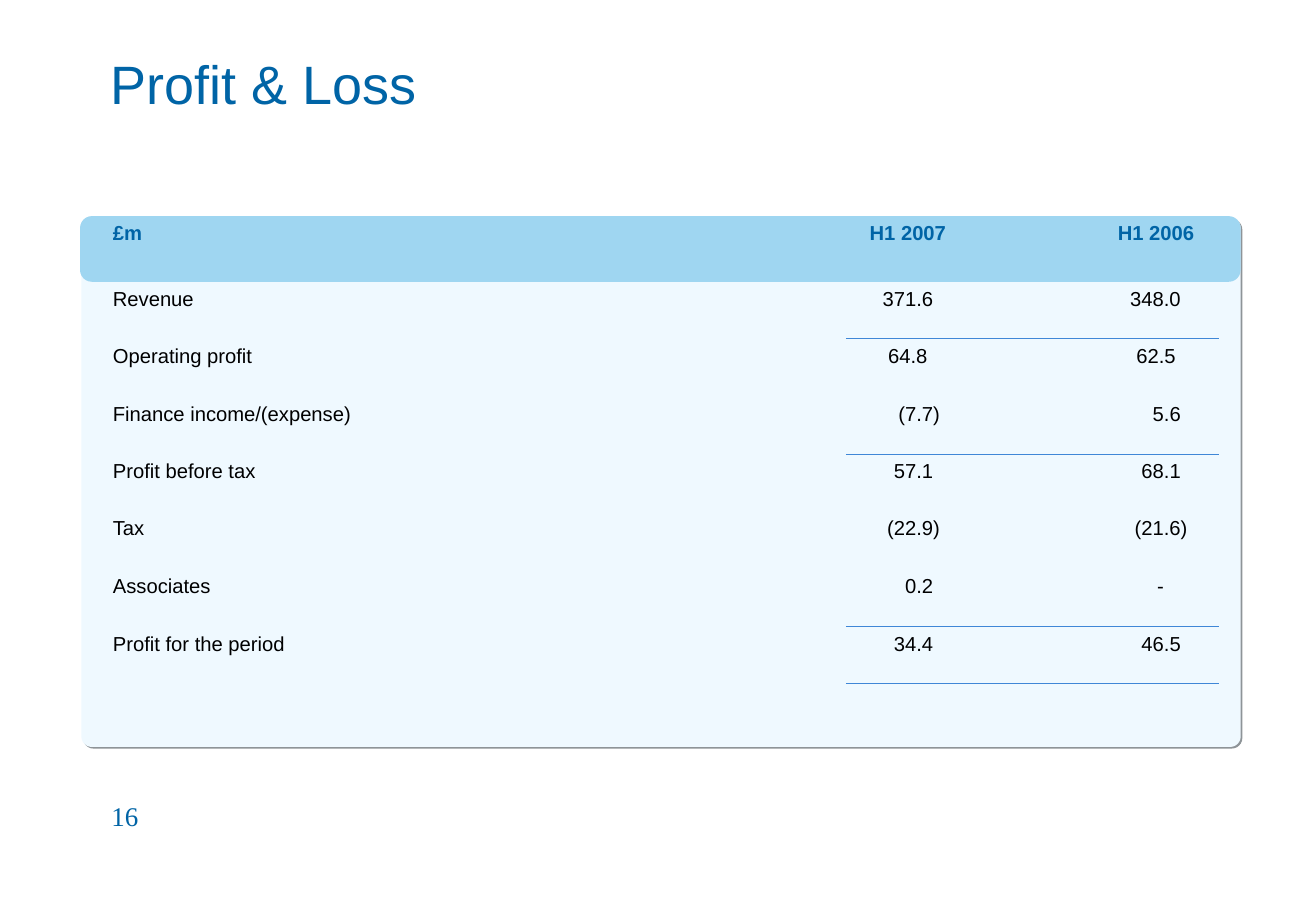
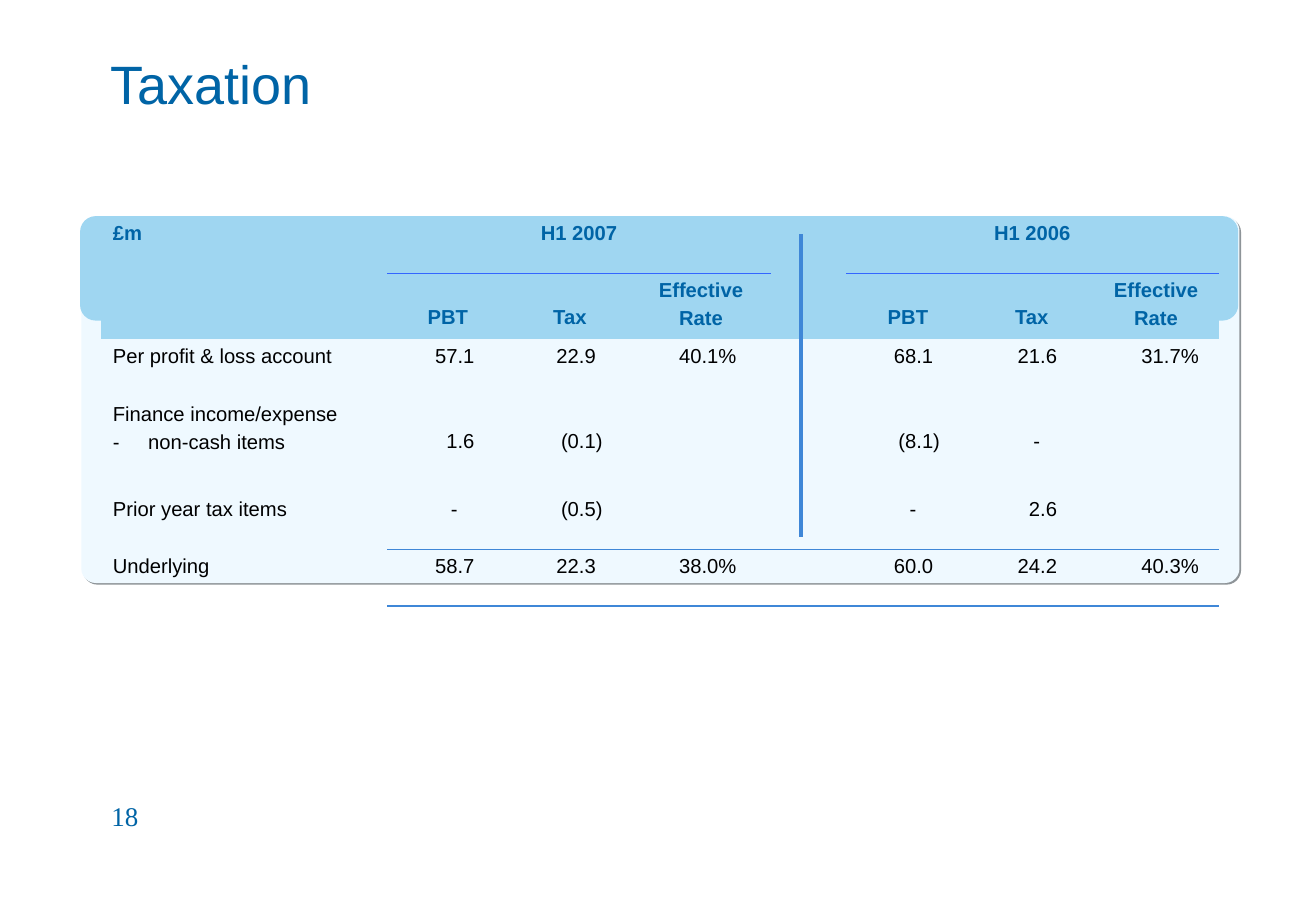
from dataclasses import dataclass
from enum import Enum

from lxml.etree import SubElement
from pptx import Presentation
from pptx.dml.color import RGBColor
from pptx.enum.shapes import MSO_CONNECTOR, MSO_SHAPE
from pptx.enum.text import MSO_ANCHOR, PP_ALIGN
from pptx.oxml import parse_xml
from pptx.oxml.ns import nsdecls, qn
from pptx.util import Pt

EMU_PER_PX = 9144
NAVY, SKY, ICE = "0064A6", "9FD6F1", "EFF9FF"
SHADOW, RULE, HEADER_RULE, BLACK = "8E9498", "3F87D7", "3366FF", "000000"
SANS, SERIF = "Arial", "Times New Roman"
NO_GRID_STYLE = "{2D5ABB26-0587-4C30-8999-92F81FD0307C}"
TABLE_LEFT, TABLE_TOP = 83, 178
INSET, SECOND_LINE, DECIMAL_TAB, DASH_TAB = 5, 27, 48, 29
THIN, THICK = 0.45, 1.08


class Style(Enum):
    """How the text of a cell is set."""

    LABEL = "label"
    CENTER = "center"
    DECIMAL = "decimal"


@dataclass(frozen=True)
class Entry:
    """A filled cell in one table row."""

    column: int
    text: str
    style: Style = Style.DECIMAL
    span: int = 1
    second_line: bool = False


@dataclass(frozen=True)
class Rule:
    """A line under part of a table row."""

    row: int
    columns: range
    width: float = THIN
    color: str = RULE


@dataclass(frozen=True)
class Box:
    """A rounded rectangle with its place and corner."""

    left: int
    top: int
    width: int
    height: int
    corner: float
    color: str
    shadow: bool = False


@dataclass(frozen=True)
class Sheet:
    """All that differs from one slide to the next."""

    title: str
    number: int
    boxes: tuple[Box, Box]
    columns: list[int]
    heights: list[int]
    header_rows: int
    rows: list[list[Entry]]
    rules: list[Rule]
    divider: tuple[int, int, int] | None = None


def px(length: int) -> int:
    """Turn px into EMU."""
    return length * EMU_PER_PX


def rgb(color: str) -> RGBColor:
    """Turn a hex string into a colour."""
    return RGBColor.from_string(color)


def add_span(para, text: str, size: int, color: str, font: str = SANS, bold: bool = False) -> None:
    """Add one formatted run."""
    span = para.add_run()
    span.text = text
    span.font.name, span.font.size, span.font.bold = font, Pt(size), bold
    span.font.color.rgb = rgb(color)


def add_tab(para, position: int, alignment: str) -> None:
    """Give a paragraph one tab stop."""
    tabs = SubElement(para._p.get_or_add_pPr(), qn("a:tabLst"))
    SubElement(tabs, qn("a:tab"), pos=str(px(position)), algn=alignment)


def label(text: str, span: int) -> Entry:
    """Make the first cell of a row."""
    return Entry(0, text, Style.LABEL, span)


def center(column: int, text: str, span: int = 1, second_line: bool = False) -> Entry:
    """Make a centred cell."""
    return Entry(column, text, Style.CENTER, span, second_line)


def figures(name: str, values: dict[int, str], span: int, second_line: bool = False) -> list[Entry]:
    """Make a row of a label and decimal-aligned values."""
    cells = [Entry(column, text, second_line=second_line) for column, text in values.items()]
    return [label(name, span), *cells]


def add_box(page, box: Box) -> None:
    """Draw a rounded rectangle."""
    shape = page.shapes.add_shape(
        MSO_SHAPE.ROUNDED_RECTANGLE, px(box.left), px(box.top), px(box.width), px(box.height))
    shape.adjustments[0] = box.corner
    shape.fill.solid()
    shape.fill.fore_color.rgb = rgb(box.color)
    shape.line.fill.background()
    shape.shadow.inherit = False
    if box.shadow:
        effects = shape.element.spPr.find(qn("a:effectLst"))
        outer = SubElement(effects, qn("a:outerShdw"), dist=str(Pt(1.4)), dir="2700000", rotWithShape="0")
        SubElement(outer, qn("a:srgbClr"), val=SHADOW)


def fill_cell(cell, entry: Entry, header: bool) -> None:
    """Write the text of a cell."""
    cell.margin_top = px(SECOND_LINE if entry.second_line else INSET)
    frame = cell.text_frame
    for index, line in enumerate(entry.text.split("\n")):
        para = frame.add_paragraph() if index else frame.paragraphs[0]
        para.space_before = Pt(3)
        para.alignment = PP_ALIGN.CENTER if entry.style is Style.CENTER else PP_ALIGN.LEFT
        if entry.style is Style.DECIMAL:
            add_tab(para, DECIMAL_TAB, "dec")
            line = "\t" + line
        elif "\t" in line:
            add_tab(para, DASH_TAB, "l")
        add_span(para, line, 12, NAVY if header else BLACK, bold=header)


def add_rule(table, rule: Rule) -> None:
    """Draw the bottom border of some cells."""
    for column in rule.columns:
        properties = table.cell(rule.row, column)._tc.get_or_add_tcPr()
        properties.insert(0, parse_xml(
            f'<a:lnB {nsdecls("a")} w="{Pt(rule.width)}"><a:solidFill>'
            f'<a:srgbClr val="{rule.color}"/></a:solidFill></a:lnB>'))


def add_figures_table(page, sheet: Sheet) -> None:
    """Draw the table of figures."""
    frame = page.shapes.add_table(
        len(sheet.heights), len(sheet.columns), px(TABLE_LEFT), px(TABLE_TOP),
        px(sum(sheet.columns)), px(sum(sheet.heights)))
    table = frame.table
    table.first_row = table.horz_banding = False
    table._tbl.tblPr.find(qn("a:tableStyleId")).text = NO_GRID_STYLE
    for column, width in zip(table.columns, sheet.columns):
        column.width = px(width)
    for index, (row, height) in enumerate(zip(table.rows, sheet.heights)):
        row.height = px(height)
        for cell in row.cells:
            if index < sheet.header_rows:
                cell.fill.solid()
                cell.fill.fore_color.rgb = rgb(SKY)
            else:
                cell.fill.background()
    for index, entries in enumerate(sheet.rows):
        for entry in entries:
            cell = table.cell(index, entry.column)
            if entry.span > 1:
                cell.merge(table.cell(index, entry.column + entry.span - 1))
            fill_cell(cell, entry, index < sheet.header_rows)
    for rule in sheet.rules:
        add_rule(table, rule)


def add_title(page, text: str) -> None:
    """Place and fill the title placeholder."""
    title = page.shapes.title
    title.left, title.top, title.width, title.height = px(81), px(6), px(921), px(125)
    title.text_frame.vertical_anchor = MSO_ANCHOR.MIDDLE
    para = title.text_frame.paragraphs[0]
    para.alignment = PP_ALIGN.LEFT
    add_span(para, text, 32, NAVY)


def add_page_number(page, number: int) -> None:
    """Write the page number."""
    box = page.shapes.add_textbox(px(82), px(653), px(226), px(50))
    box.text_frame.word_wrap = True
    add_span(box.text_frame.paragraphs[0], str(number), 16, NAVY, SERIF)


def add_divider(page, x: int, top: int, bottom: int) -> None:
    """Draw the upright line between two periods."""
    line = page.shapes.add_connector(MSO_CONNECTOR.STRAIGHT, px(x), px(top), px(x), px(bottom))
    line.line.color.rgb = rgb(RULE)
    line.line.width = Pt(2.25)
    SubElement(line.element.spPr, qn("a:effectLst"))


def add_sheet(deck, sheet: Sheet) -> None:
    """Build one slide."""
    page = deck.slides.add_slide(deck.slide_layouts[5])
    for box in sheet.boxes:
        add_box(page, box)
    add_title(page, sheet.title)
    add_figures_table(page, sheet)
    if sheet.divider:
        add_divider(page, *sheet.divider)
    add_page_number(page, sheet.number)


PROFIT = Sheet(
    title="Profit & Loss",
    number=16,
    boxes=(Box(67, 179, 955, 436, 0.02, ICE, True), Box(66, 178, 956, 54, 0.18, SKY)),
    columns=[102, 102, 103] * 3,
    heights=[54, 47, 48, 47, 47, 48, 47, 47, 47],
    header_rows=1,
    rows=[
        [label("£m", 1), center(6, "H1 2007"), center(8, "H1 2006")],
        figures("Revenue", {6: "371.6", 8: "348.0"}, 4),
        [label("Operating profit", 4), center(6, "64.8"), center(8, "62.5")],
        figures("Finance income/(expense)", {6: "(7.7)", 8: "5.6"}, 4),
        figures("Profit before tax", {6: "57.1", 8: "68.1"}, 4),
        figures("Tax", {6: "(22.9)", 8: "(21.6)"}, 4),
        figures("Associates", {6: "0.2", 8: "-"}, 4),
        figures("Profit for the period", {6: "34.4", 8: "46.5"}, 4),
    ],
    rules=[*(Rule(row, range(6, 9)) for row in (1, 3, 6)), Rule(7, range(6, 9), THICK)],
)

PERIODS = {2: "H1 2007", 6: "H1 2006"}
MEASURES = [("PBT", True), ("Tax", True), ("Effective\nRate", False)]

TAXATION = Sheet(
    title="Taxation",
    number=18,
    boxes=(Box(67, 178, 954, 302, 0.04, ICE, True), Box(66, 178, 954, 86, 0.15, SKY)),
    columns=[102, 134, 100, 101, 115, 62, 102, 102, 103],
    heights=[47, 54, 48, 78, 47, 47, 47],
    header_rows=2,
    rows=[
        [label("£m", 1), *(center(first, period, 3) for first, period in PERIODS.items())],
        [center(first + step, name, second_line=lower)
         for first in PERIODS for step, (name, lower) in enumerate(MEASURES)],
        figures("Per profit & loss account",
                {2: "57.1", 3: "22.9", 4: "40.1%", 6: "68.1", 7: "21.6", 8: "31.7%"}, 2),
        figures("Finance income/expense\n-\tnon-cash items",
                {2: "1.6", 3: "(0.1)", 6: "(8.1)", 7: "-"}, 2, second_line=True),
        figures("Prior year tax items", {2: "-", 3: "(0.5)", 6: "-", 7: "2.6"}, 2),
        figures("Underlying",
                {2: "58.7", 3: "22.3", 4: "38.0%", 6: "60.0", 7: "24.2", 8: "40.3%"}, 2),
    ],
    rules=[
        *(Rule(0, range(first, first + 3), color=HEADER_RULE) for first in PERIODS),
        Rule(4, range(2, 9)),
        Rule(5, range(2, 9), THICK),
    ],
    divider=(660, 193, 442),
)


def main() -> None:
    """Build and save the deck."""
    deck = Presentation()
    deck.slide_width, deck.slide_height = px(1084), px(750)
    for sheet in (PROFIT, TAXATION):
        add_sheet(deck, sheet)
    deck.save("out.pptx")


if __name__ == "__main__":
    main()
